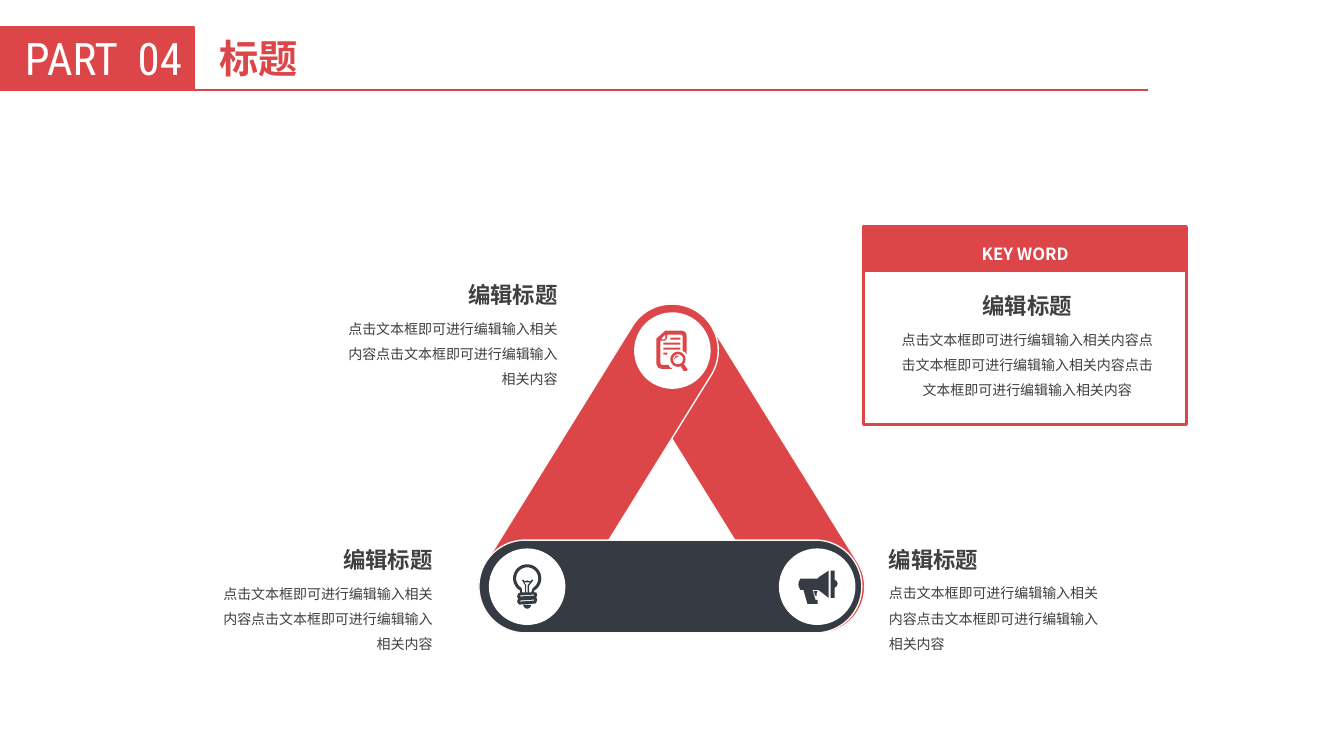
from dataclasses import dataclass
from math import cos, radians, sin

from lxml.etree import SubElement
from pptx import Presentation
from pptx.dml.color import RGBColor
from pptx.enum.shapes import MSO_CONNECTOR, MSO_SHAPE
from pptx.enum.text import MSO_ANCHOR, MSO_AUTO_SIZE, PP_ALIGN
from pptx.oxml.ns import qn
from pptx.shapes.autoshape import Shape
from pptx.shapes.shapetree import SlideShapes
from pptx.util import Cm, Pt

Point = tuple[float, float]
Contour = list[Point]


@dataclass(frozen=True)
class Theme:
    red: str = "DC4649"
    deep_red: str = "E41B16"
    dark: str = "353A43"
    white: str = "FFFFFF"
    edge: str = "FDF9F7"
    text: str = "404040"
    font: str = "Noto Sans CJK SC"
    tag_font: str = "Roboto Condensed"
    title_font: str = "Arial"
    tag_size: int = 32
    title_size: int = 28
    heading_size: int = 16
    keyword_size: int = 12
    body_size: int = 10


THEME = Theme()


@dataclass(frozen=True)
class Box:
    left: float
    top: float
    width: float
    height: float


@dataclass(frozen=True)
class Bar:
    box: Box
    fill: str
    rotation: float = 0


@dataclass(frozen=True)
class Caption:
    left: float
    top: float
    width: float
    align: PP_ALIGN
    body: str


@dataclass(frozen=True)
class Badge:
    disc: Point
    icon: Point
    color: str
    contours: list[Contour]


def arc(x: float, y: float, radius: float, start: int = 0, end: int = 360) -> Contour:
    """Points every 10 degrees, clockwise from the right."""
    return [(x + radius * cos(radians(a)), y + radius * sin(radians(a)))
            for a in range(start, end + 1, 10)]


def rectangle(left: float, top: float, right: float, bottom: float) -> Contour:
    return [(left, top), (right, top), (right, bottom), (left, bottom)]


# Icon contours are in hundredths of an inch from the icon's top left corner.
DOCUMENT = [
    [(9, 0), (25, 0), (28, 1), (29.5, 2.5), (30, 5), (30, 24), (29, 22), (26, 20),
     (26, 5), (25, 4), (11, 4), (11, 6), (10, 9), (8, 10), (4, 10), (4, 33), (5, 34),
     (12, 34), (13.5, 36.5), (16, 38), (5, 38), (1.5, 36.5), (0, 33), (0, 8), (8, 1)],
    [(9, 4), (5, 8), (7, 9), (9, 8)],
    rectangle(14, 7, 24, 9),
    rectangle(7, 12, 24, 14),
    rectangle(7, 17, 24, 19),
    rectangle(7, 22, 11, 24),
    arc(21.5, 28.5, 7.5),
    arc(21.5, 28.5, 5),
    [(17.5, 29), (18.5, 26), (20, 25), (23, 25), (20, 26.5)],
    [(24.5, 35.7), (27.7, 33.7), (31, 38.5), (30, 40), (27, 40)],
]
BULB = [
    arc(14, 14, 14, 120, 420)
    + [(21, 28), (23, 28), (24, 30), (23, 33), (24, 35), (23, 38), (22, 39), (6, 40),
       (5, 39), (4, 37), (5, 34), (4, 32), (5, 29), (7, 28)],
    arc(14, 14, 11, 120, 420) + [(18, 28), (9, 28)],
    [(9, 16), (10, 15), (12, 17), (14, 16), (17, 17), (19, 15), (20, 16), (16, 21),
     (16, 28), (12, 28), (12, 21)],
    [(11, 18), (13, 20.5), (13, 28), (14.5, 28), (14.5, 20.5), (17, 18)],
    [(7, 31), (21, 30), (21, 31), (7, 32)],
    [(7, 36), (21, 35), (21, 36), (7, 37)],
    arc(14, 40.2, 3.8, 0, 180),
]
MEGAPHONE = [
    [(2, 8), (19, 8), (21, 6), (30, 0), (30, 27), (21, 20), (19, 19), (14, 19),
     (17, 29), (19, 29), (19, 33), (9, 33), (5, 19), (2, 19), (0.5, 16), (0, 13.5),
     (0.5, 11)],
    [(32, 0), (36, 0), (36, 9), (38, 10.5), (39, 13), (38, 15.5), (36, 17), (36, 27),
     (32, 27)],
    [(19, 20), (15, 20), (17, 25), (18, 25), (18, 23)],
]

PHRASE = "点击文本框即可进行编辑输入相关内容"
CARD = Box(21.77, 5.72, 8.13, 4.98)
CARD_HEADER = Box(CARD.left, CARD.top, CARD.width, 1.12)
TAG = Box(0, 0.69, 4.9, 1.57)
BARS = [
    Bar(Box(12.09, 13.61, 9.65, 2.34), THEME.deep_red),
    Bar(Box(14.1, 10.64, 9.35, 2.34), THEME.red, 58.2),
    Bar(Box(10.41, 10.64, 9.35, 2.34), THEME.red, 301.8),
    Bar(Box(12.07, 13.61, 9.65, 2.34), THEME.dark),
]
BADGES = [
    Badge((15.98, 7.87), (16.54, 8.33), THEME.red, DOCUMENT),
    Badge((12.32, 13.82), (12.93, 14.22), THEME.dark, BULB),
    Badge((19.63, 13.82), (20.12, 14.38), THEME.dark, MEGAPHONE),
]
CAPTIONS = [
    Caption(22.33, 6.91, 7.11, PP_ALIGN.CENTER, PHRASE * 3),
    Caption(22.15, 13.3, 5.99, PP_ALIGN.LEFT, PHRASE * 2),
    Caption(8.2, 6.63, 6.1, PP_ALIGN.RIGHT, PHRASE * 2),
    Caption(5.05, 13.31, 6.1, PP_ALIGN.RIGHT, PHRASE * 2),
]


def lengths(box: Box) -> tuple[Cm, Cm, Cm, Cm]:
    return Cm(box.left), Cm(box.top), Cm(box.width), Cm(box.height)


def write(shape: Shape, text: str, *, size: int, color: str, font: str = THEME.font,
          bold: bool = False, align: PP_ALIGN = PP_ALIGN.LEFT, spacing: float = 1,
          anchor: MSO_ANCHOR = MSO_ANCHOR.TOP) -> None:
    frame = shape.text_frame
    frame.word_wrap = True
    frame.auto_size = MSO_AUTO_SIZE.NONE
    frame.vertical_anchor = anchor
    paragraph = frame.paragraphs[0]
    paragraph.alignment = align
    paragraph.line_spacing = spacing
    run = paragraph.add_run()
    run.text = text
    run.font.name = font
    run.font.size = Pt(size)
    run.font.bold = bold
    run.font.color.rgb = RGBColor.from_string(color)
    SubElement(run.font._element, qn("a:ea"), typeface=THEME.font)


def paint(shape: Shape, fill: str | None, line: str | None = None, width: float = 1) -> None:
    shape.shadow.inherit = False
    if fill:
        shape.fill.solid()
        shape.fill.fore_color.rgb = RGBColor.from_string(fill)
    else:
        shape.fill.background()
    if line:
        shape.line.color.rgb = RGBColor.from_string(line)
        shape.line.width = Pt(width)
    else:
        shape.line.fill.background()


def add_bar(shapes: SlideShapes, bar: Bar) -> None:
    shape = shapes.add_shape(MSO_SHAPE.ROUNDED_RECTANGLE, *lengths(bar.box))
    shape.adjustments[0] = 0.5
    shape.rotation = bar.rotation
    paint(shape, bar.fill, THEME.edge)


def add_badge(shapes: SlideShapes, badge: Badge) -> None:
    disc = shapes.add_shape(MSO_SHAPE.OVAL, *lengths(Box(*badge.disc, 1.93, 1.93)))
    paint(disc, THEME.white)
    contours = [[(x * 10, y * 10) for x, y in contour] for contour in badge.contours]
    builder = shapes.build_freeform(*contours[0][0], scale=Cm(2.54) / 1000)
    builder.add_line_segments(contours[0][1:], close=True)
    for contour in contours[1:]:
        builder.move_to(*contour[0])
        builder.add_line_segments(contour[1:], close=True)
    left, top = badge.icon
    paint(builder.convert_to_shape(Cm(left), Cm(top)), badge.color)


def add_caption(shapes: SlideShapes, caption: Caption) -> None:
    heading = shapes.add_textbox(*lengths(Box(caption.left, caption.top, caption.width, 1.17)))
    write(heading, "编辑标题", size=THEME.heading_size, color=THEME.text, bold=True,
          align=caption.align, spacing=1.5)
    body = shapes.add_textbox(*lengths(Box(caption.left, caption.top + 1.1, caption.width, 2.16)))
    write(body, caption.body, size=THEME.body_size, color=THEME.text,
          align=caption.align, spacing=1.5)


def add_header(shapes: SlideShapes) -> None:
    paint(shapes.add_shape(MSO_SHAPE.RECTANGLE, *lengths(TAG)), THEME.red, THEME.red, 1.5)
    label = shapes.add_textbox(*lengths(Box(0.38, 0.66, 6.17, 1.63)))
    write(label, "PART  04", size=THEME.tag_size, color=THEME.white, font=THEME.tag_font)
    title = shapes.title
    title.left, title.top, title.width, title.height = lengths(Box(5.28, 0.74, 3.28, 1.45))
    write(title, "标题", size=THEME.title_size, color=THEME.red, font=THEME.title_font, bold=True)
    rule = shapes.add_connector(MSO_CONNECTOR.STRAIGHT, Cm(4.75), Cm(2.26), Cm(28.93), Cm(2.26))
    rule.line.color.rgb = RGBColor.from_string(THEME.red)
    rule.line.width = Pt(1.5)
    SubElement(rule._element.spPr, qn("a:effectLst"))


def add_card(shapes: SlideShapes) -> None:
    paint(shapes.add_shape(MSO_SHAPE.RECTANGLE, *lengths(CARD)), None, THEME.red, 2.25)
    header = shapes.add_shape(MSO_SHAPE.RECTANGLE, *lengths(CARD_HEADER))
    paint(header, THEME.red, THEME.red)
    write(header, "KEY WORD", size=THEME.keyword_size, color=THEME.white, bold=True,
          align=PP_ALIGN.CENTER, spacing=1.5, anchor=MSO_ANCHOR.MIDDLE)


def main() -> None:
    presentation = Presentation()
    presentation.slide_width, presentation.slide_height = Cm(33.87), Cm(19.05)
    shapes = presentation.slides.add_slide(presentation.slide_layouts[5]).shapes
    add_header(shapes)
    for bar in BARS:
        add_bar(shapes, bar)
    for badge in BADGES:
        add_badge(shapes, badge)
    add_card(shapes)
    for caption in CAPTIONS:
        add_caption(shapes, caption)
    presentation.save("out.pptx")


if __name__ == "__main__":
    main()
